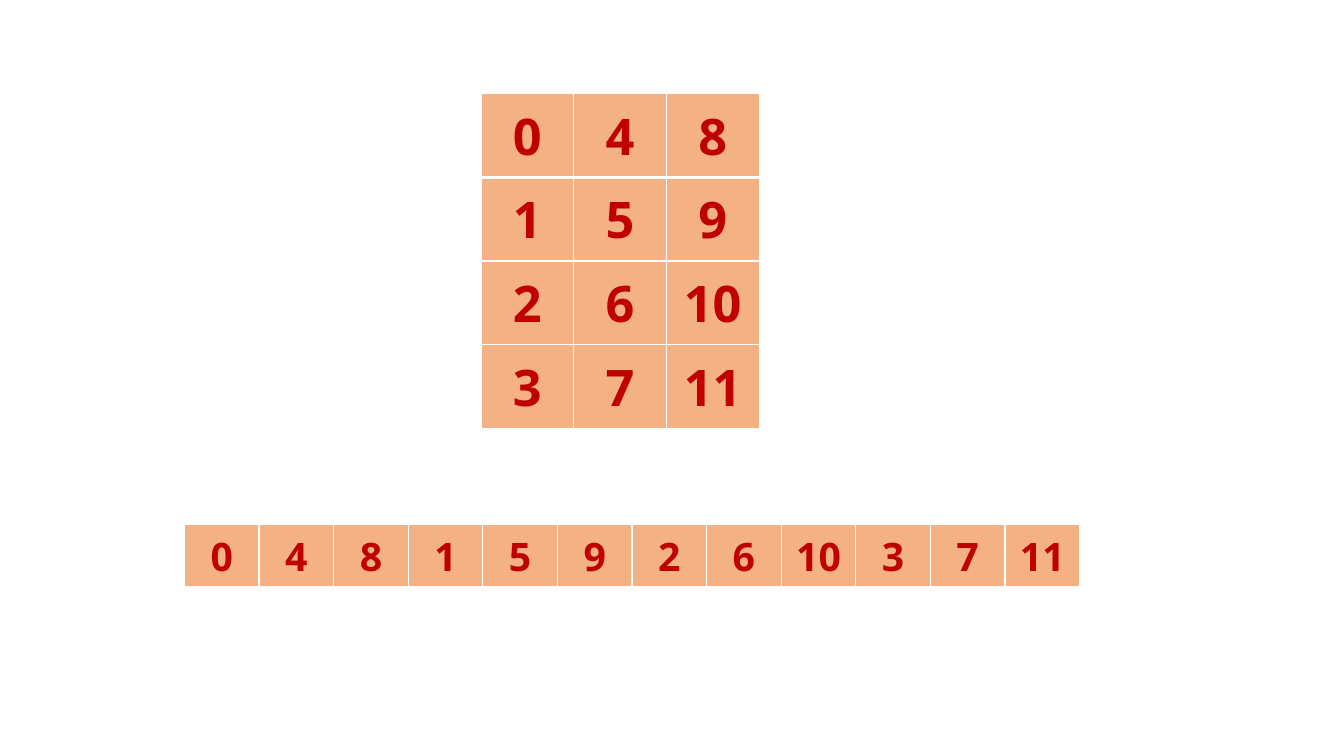
from dataclasses import dataclass

from lxml import etree
from pptx import Presentation
from pptx.dml.color import RGBColor
from pptx.enum.text import MSO_ANCHOR, PP_ALIGN
from pptx.oxml.ns import qn
from pptx.util import Pt

MIDDLE = MSO_ANCHOR.MIDDLE
CENTER = PP_ALIGN.CENTER
PX = 9144  # EMU per px, 100 px to the inch


@dataclass(frozen=True)
class Theme:
    font: str = "Open Sans"
    number: str = "C00000"
    cell: str = "F4B183"
    border: str = "FFFFFF"
    matrix_size: int = 36
    list_size: int = 28
    thin: int = 1
    thick: int = 3


def write(tf, text, *, size, color, font, bold=False, align=CENTER):
    p = tf.paragraphs[0]
    p.alignment = align
    r = p.add_run()
    r.text = text
    r.font.name = font
    r.font.size = Pt(size)
    r.font.bold = bold
    r.font.color.rgb = RGBColor.from_string(color)


def add_border(cell, side, width, color):
    ln = etree.SubElement(cell._tc.get_or_add_tcPr(), qn(f"a:ln{side}"), w=str(Pt(width)))
    fill = etree.SubElement(ln, qn("a:solidFill"))
    etree.SubElement(fill, qn("a:srgbClr"), val=color)


class SlideBuilder:
    def __init__(self, slide, theme):
        self.s = slide
        self.theme = theme

    def number_table(self, rows, x, y, col_w, row_h, size):
        n_rows, n_cols = len(rows), len(rows[0])
        table = self.s.shapes.add_table(
            n_rows, n_cols, x * PX, y * PX, n_cols * col_w * PX, n_rows * row_h * PX
        ).table
        for col in table.columns:
            col.width = col_w * PX
        for i, values in enumerate(rows):
            table.rows[i].height = row_h * PX
            for j, value in enumerate(values):
                self.number_cell(table.cell(i, j), i, value, size)

    def number_cell(self, cell, row, value, size):
        t = self.theme
        # A thick rule runs below the first row
        widths = {
            "L": t.thin,
            "R": t.thin,
            "T": t.thick if row == 1 else t.thin,
            "B": t.thick if row == 0 else t.thin,
        }
        for side, width in widths.items():
            add_border(cell, side, width, t.border)
        cell.fill.solid()
        cell.fill.fore_color.rgb = RGBColor.from_string(t.cell)
        cell.vertical_anchor = MIDDLE
        write(cell.text_frame, str(value), size=size, color=t.number, font=t.font, bold=True)


def main():
    prs = Presentation()
    prs.slide_width, prs.slide_height = 1333 * PX, 750 * PX
    theme = Theme()
    builder = SlideBuilder(prs.slides.add_slide(prs.slide_layouts[6]), theme)

    # Matrix numbered down its columns
    n_rows, n_cols = 4, 3
    matrix = [[row + n_rows * col for col in range(n_cols)] for row in range(n_rows)]
    builder.number_table(matrix, 477, 93, 92, 83, theme.matrix_size)

    # The same matrix read row by row
    flat = [value for row in matrix for value in row]
    builder.number_table([flat], 183, 520, 74, 57, theme.list_size)

    prs.save("out.pptx")


if __name__ == "__main__":
    main()
